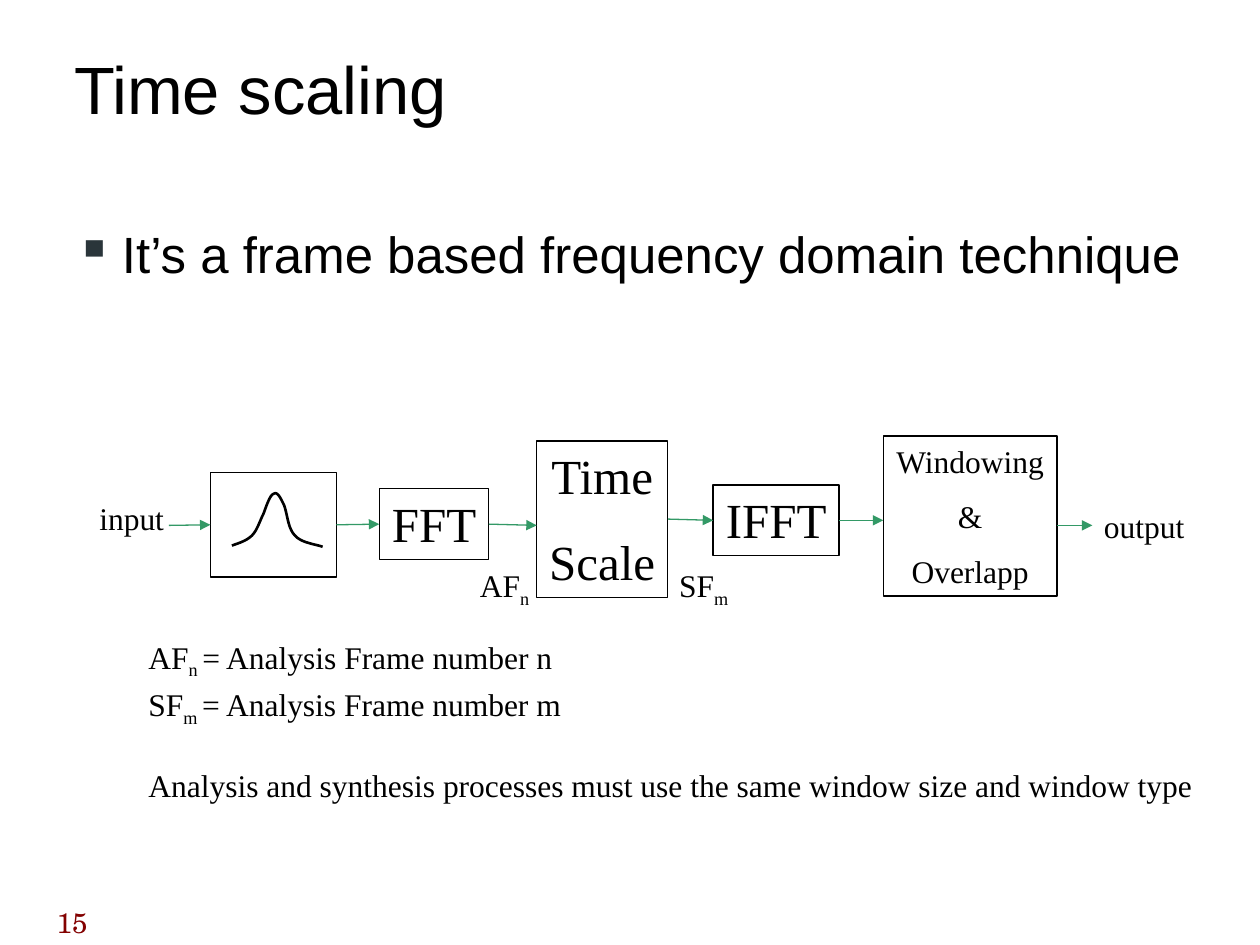
from lxml.etree import SubElement
from pptx import Presentation
from pptx.dml.color import RGBColor
from pptx.enum.shapes import MSO_CONNECTOR, MSO_SHAPE
from pptx.enum.text import MSO_ANCHOR, PP_ALIGN
from pptx.oxml.ns import qn
from pptx.util import Inches, Pt

COLORS = {
    "text": "000000",
    "box": "FFFFFF",
    "outline": "000000",
    "arrow": "339966",
    "bullet": "2A353A",
    "number": "830100",
}
SERIF = "Times New Roman"
TOP_INSET = 0.07


def color(name):
    """Return the named colour."""
    return RGBColor.from_string(COLORS[name])


def set_frame(text_frame, insets, anchor=MSO_ANCHOR.TOP, wrap=True):
    """Set the insets (left, top, right, bottom), anchor and wrapping."""
    left, top, right, bottom = (Inches(inset) for inset in insets)
    text_frame.margin_left, text_frame.margin_top = left, top
    text_frame.margin_right, text_frame.margin_bottom = right, bottom
    text_frame.vertical_anchor = anchor
    text_frame.word_wrap = wrap


def format_run(run, size, font=SERIF, color_name="text"):
    """Set size, typeface and colour of a run."""
    run.font.size = Pt(size)
    run.font.name = font
    run.font.color.rgb = color(color_name)


def write_lines(text_frame, lines, size, space=0, spacing=0.93,
                alignment=PP_ALIGN.CENTER, font=SERIF, color_name="text"):
    """Write one paragraph per line; odd pieces of a tuple line are subscripts."""
    for index, line in enumerate(lines):
        paragraph = text_frame.add_paragraph() if index else text_frame.paragraphs[0]
        paragraph.alignment = alignment
        paragraph.line_spacing = spacing
        paragraph.space_before = Pt(space if index else 0)
        pieces = line if isinstance(line, tuple) else (line,)
        for position, piece in enumerate(pieces):
            run = paragraph.add_run()
            run.text = piece
            format_run(run, size, font, color_name)
            if position % 2:
                run.font._element.set("baseline", "-25000")


def add_text(slide, bounds, lines, size, insets=(0.1, TOP_INSET, 0.1, 0.05),
             anchor=MSO_ANCHOR.TOP, **style):
    """Add a text box and return its text frame."""
    text_frame = slide.shapes.add_textbox(*map(Inches, bounds)).text_frame
    set_frame(text_frame, insets, anchor)
    write_lines(text_frame, lines, size, **style)
    return text_frame


def add_bullet(paragraph, indent):
    """Give a paragraph a hanging square bullet."""
    properties = paragraph._p.get_or_add_pPr()
    properties.set("marL", str(Inches(indent)))
    properties.set("indent", str(-Inches(indent)))
    bullet_color = SubElement(properties, qn("a:buClr"))
    SubElement(bullet_color, qn("a:srgbClr")).set("val", COLORS["bullet"])
    SubElement(properties, qn("a:buChar")).set("char", "▪")


def add_box(slide, bounds, lines=(), size=28, space=17.5):
    """Add an outlined process box, filled when it holds text."""
    shape = slide.shapes.add_shape(MSO_SHAPE.RECTANGLE, *map(Inches, bounds))
    shape.shadow.inherit = False
    shape.line.color.rgb = color("outline")
    shape.line.width = Pt(0.75)
    if lines:
        shape.fill.solid()
        shape.fill.fore_color.rgb = color("box")
        set_frame(shape.text_frame, (0.1, 0.08, 0.1, 0.05), MSO_ANCHOR.MIDDLE, False)
        write_lines(shape.text_frame, lines, size, space)
    else:
        shape.fill.background()
    return shape


def add_arrow(slide, start, end, source=None, target=None):
    """Add an arrow, joined to the right of source and the left of target."""
    connector = slide.shapes.add_connector(
        MSO_CONNECTOR.STRAIGHT, *map(Inches, start + end))
    if source is not None:
        connector.begin_connect(source, 3)
    if target is not None:
        connector.end_connect(target, 1)
    connector.line.color.rgb = color("arrow")
    connector.line.width = Pt(0.75)
    SubElement(connector.line._get_or_add_ln(), qn("a:tailEnd")).set("type", "triangle")
    SubElement(connector._element.spPr, qn("a:effectLst"))


def bezier_points(start, segments, steps=10):
    """Return points along a chain of cubic curves."""
    points = [start]
    for first, second, end in segments:
        for step in range(1, steps + 1):
            t = step / steps
            weights = ((1 - t) ** 3, 3 * t * (1 - t) ** 2, 3 * t * t * (1 - t), t ** 3)
            corners = (start, first, second, end)
            points.append(tuple(
                sum(weight * corner[axis] for weight, corner in zip(weights, corners))
                for axis in (0, 1)))
        start = end
    return points


def add_curve(slide, start, segments):
    """Draw the bell-shaped window curve."""
    points = [(Inches(x), Inches(y)) for x, y in bezier_points(start, segments)]
    builder = slide.shapes.build_freeform(*points[0])
    builder.add_line_segments(points[1:], close=False)
    shape = builder.convert_to_shape()
    shape.shadow.inherit = False
    shape.fill.background()
    shape.line.color.rgb = color("outline")
    shape.line.width = Pt(1.5)


def add_flow(slide):
    """Add the processing chain from input to output."""
    window = add_box(slide, (1.67, 3.75, 1, 0.83))
    add_curve(slide, (1.84, 4.33), [
        ((1.9, 4.31), (1.96, 4.29), (2, 4.25)),
        ((2.04, 4.21), (2.06, 4.14), (2.09, 4.08)),
        ((2.11, 4.03), (2.14, 3.93), (2.17, 3.92)),
        ((2.2, 3.9), (2.22, 3.94), (2.25, 4)),
        ((2.28, 4.06), (2.28, 4.19), (2.34, 4.25)),
        ((2.39, 4.31), (2.51, 4.32), (2.56, 4.34)),
    ])
    fft = add_box(slide, (3.01, 3.88, 0.87, 0.56), ["FFT"])
    time_scale = add_box(slide, (4.26, 3.5, 1.04, 1.24), ["Time", "Scale"])
    ifft = add_box(slide, (5.66, 3.85, 1, 0.56), ["IFFT"])
    add_box(slide, (7.01, 3.46, 1.38, 1.27), ["Windowing", "&", "Overlapp"], 18, 11.2)

    add_arrow(slide, (1.34, 4.17), (1.67, 4.17), target=window)
    add_arrow(slide, (2.67, 4.17), (3.01, 4.17), window, fft)
    add_arrow(slide, (3.88, 4.17), (4.26, 4.17), fft)
    add_arrow(slide, (5.3, 4.13), (5.66, 4.13), time_scale, ifft)
    add_arrow(slide, (6.66, 4.13), (7.01, 4.13), ifft)
    add_arrow(slide, (8.39, 4.17), (8.67, 4.17))

    for bounds, label in (
        ((0.67, 3.92, 0.75, 0.4), "input"),
        ((8.62, 3.98, 0.92, 0.4), "output"),
        ((3.59, 4.42, 0.83, 0.44), ("AF", "n")),
        ((5.17, 4.42, 0.83, 0.44), ("SF", "m")),
    ):
        add_text(slide, bounds, [label], 18)


def main():
    """Build the slide and save it."""
    presentation = Presentation()
    presentation.slide_width, presentation.slide_height = Inches(10), Inches(7.5)
    slide = presentation.slides.add_slide(presentation.slide_layouts[6])

    add_text(slide, (0.45, 7.21, 1.25, 0.25), ["15"], 16, (0, 0, 0, 0), spacing=0.95,
             alignment=PP_ALIGN.LEFT, font="TeX Gyre Schola", color_name="number")
    add_text(slide, (0.49, 0.01, 8.51, 1.35), ["Time scaling"], 38.2,
             (0.1, 0.08, 0.1, 0.05), MSO_ANCHOR.MIDDLE, spacing=1,
             alignment=PP_ALIGN.LEFT, font="Arial")
    body = add_text(slide, (0.5, 1.75, 9, 5.05),
                    ["It’s a frame based frequency domain technique"], 29.1,
                    (0.1, 0.05, 0.1, 0.05), spacing=0.95,
                    alignment=PP_ALIGN.JUSTIFY, font="Arial")
    add_bullet(body.paragraphs[0], 0.37)
    add_flow(slide)

    notes = add_text(slide, (1.08, 4.99, 8.67, 1.87), [
        ("AF", "n ", "= Analysis Frame number n"),
        ("SF", "m ", "= Analysis Frame number m"),
        "Analysis and synthesis processes must use the same window size and window type",
    ], 18, space=11.2, alignment=PP_ALIGN.LEFT)
    for paragraph in notes.paragraphs[1:]:
        paragraph.line_spacing = 0.56
    notes.paragraphs[-1].space_before = Pt(34)
    presentation.save("out.pptx")


if __name__ == "__main__":
    main()
